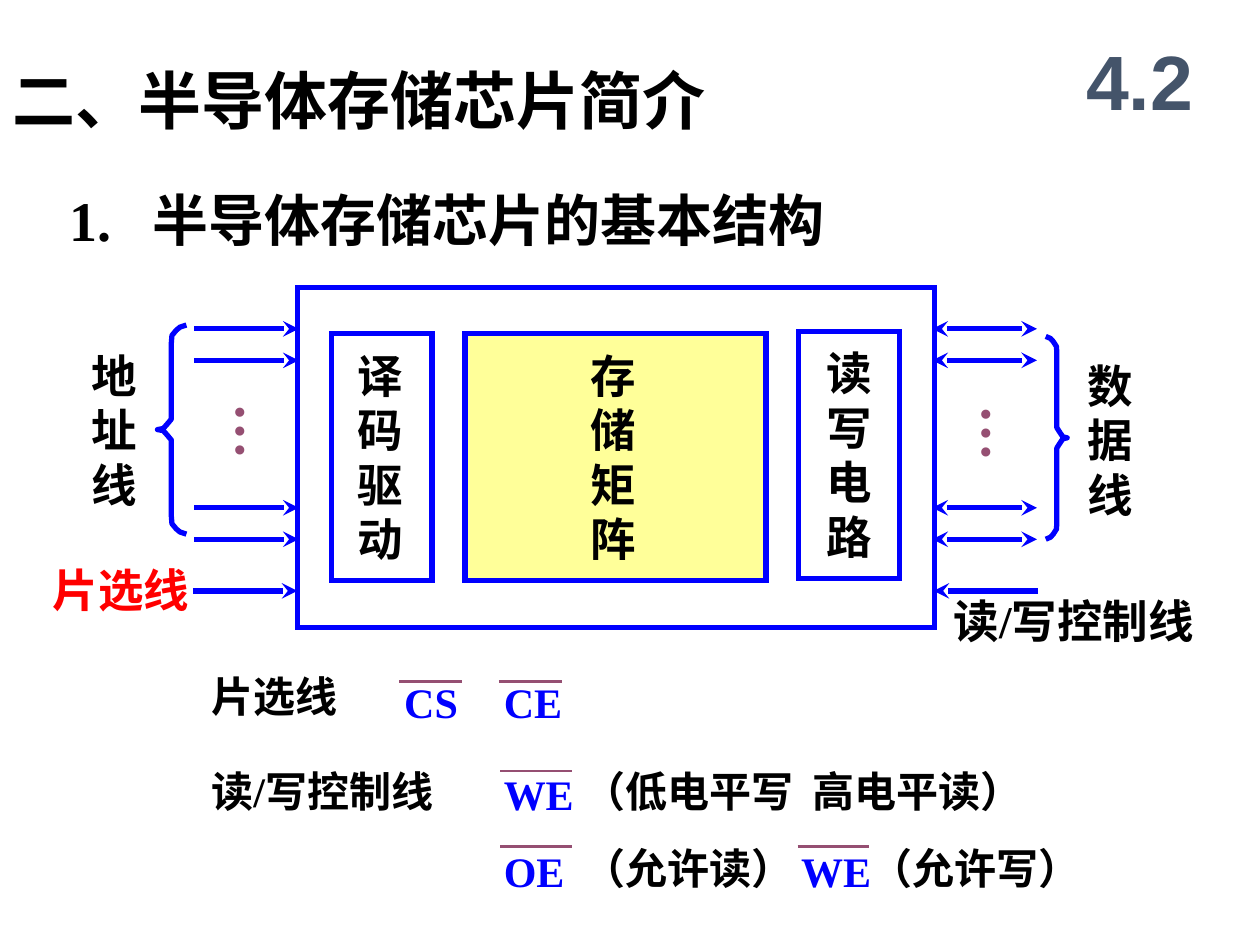
from lxml import etree
from pptx import Presentation
from pptx.dml.color import RGBColor
from pptx.enum.shapes import MSO_CONNECTOR, MSO_SHAPE
from pptx.enum.text import MSO_ANCHOR, MSO_AUTO_SIZE, PP_ALIGN
from pptx.oxml.ns import qn
from pptx.util import Inches, Pt

COLUMNS, ROWS = 100, 75
SLIDE_WIDTH, SLIDE_HEIGHT = Inches(10), Inches(7.5)

BLACK = RGBColor(0x00, 0x00, 0x00)
BLUE = RGBColor(0x00, 0x00, 0xFF)
RED = RGBColor(0xFF, 0x00, 0x00)
YELLOW = RGBColor(0xFF, 0xFF, 0x99)
PLUM = RGBColor(0x95, 0x4F, 0x72)
SLATE = RGBColor(0x44, 0x54, 0x6A)

STRAIGHT = MSO_CONNECTOR.STRAIGHT
RECTANGLE = MSO_SHAPE.RECTANGLE
MIDDLE = MSO_ANCHOR.MIDDLE
GROW, FIXED = MSO_AUTO_SIZE.SHAPE_TO_FIT_TEXT, MSO_AUTO_SIZE.NONE
LEFT, CENTER, RIGHT = PP_ALIGN.LEFT, PP_ALIGN.CENTER, PP_ALIGN.RIGHT

WIRE_ROWS = (26.1, 28.6, 40.3, 42.8)
CONTROL_ROW = 46.9
# Upper half of a brace: shares of its width from the tip, and of its half height.
BRACE_PROFILE = ((1, 0), (0.78, 0.02), (0.65, 0.05), (0.5, 0.1), (0.48, 0.17),
                 (0.48, 0.83), (0.48, 0.9), (0.33, 0.95), (0.2, 0.99), (0, 1))


def x(column):
    return round(SLIDE_WIDTH * column / COLUMNS)


def y(row):
    return round(SLIDE_HEIGHT * row / ROWS)


def add_text(slide, place, lines, size, color=BLACK, align=LEFT, wrap=True,
             font="Times New Roman", tab=None):
    """Put one paragraph per line in a box; tab is a stop in columns."""
    left, top, width, height = place
    box = slide.shapes.add_textbox(x(left), y(top), x(width), y(height))
    frame = box.text_frame
    frame.word_wrap = wrap
    frame.auto_size = GROW
    for index, line in enumerate(lines):
        paragraph = frame.paragraphs[0] if index == 0 else frame.add_paragraph()
        paragraph.alignment = align
        if tab:
            stops = etree.SubElement(paragraph._p.get_or_add_pPr(), qn("a:tabLst"))
            etree.SubElement(stops, qn("a:tab"), pos=str(x(tab)), algn="l")
        run = paragraph.add_run()
        run.text = line
        run.font.name = font
        run.font.size = Pt(size)
        run.font.bold = True
        run.font.color.rgb = color
    return frame


def add_block(slide, left, top, width, height, fill=None):
    """Draw a sharp-cornered rectangle."""
    block = slide.shapes.add_shape(RECTANGLE, x(left), y(top), x(width), y(height))
    block.shadow.inherit = False
    if fill is None:
        block.fill.background()
    else:
        block.fill.solid()
        block.fill.fore_color.rgb = fill
    block.line.color.rgb = BLUE
    block.line.width = Pt(3)
    etree.SubElement(block.line._get_or_add_ln(), qn("a:miter"), lim="800000")


def add_line(slide, start, end, row, color=BLUE, width=3, arrows=()):
    """Draw a level line; arrows names its ends, headEnd before tailEnd."""
    line = slide.shapes.add_connector(STRAIGHT, x(start), y(row), x(end), y(row))
    line.line.color.rgb = color
    line.line.width = Pt(width)
    outline = line.line._get_or_add_ln()
    for arrow in arrows:
        etree.SubElement(outline, qn(f"a:{arrow}"), type="stealth")
    etree.SubElement(line._element.spPr, qn("a:effectLst"))


def add_brace(slide, tip, open_side, top, height):
    half = height / 2
    upper = [(tip + (open_side - tip) * across, top + half * down)
             for across, down in BRACE_PROFILE]
    lower = [(column, 2 * top + height - row) for column, row in upper[-2::-1]]
    points = [(x(column), y(row)) for column, row in upper + lower]
    builder = slide.shapes.build_freeform(*points[0])
    builder.add_line_segments(points[1:], close=False)
    brace = builder.convert_to_shape()
    brace.shadow.inherit = False
    brace.fill.background()
    brace.line.color.rgb = BLUE
    brace.line.width = Pt(3)


def add_dots(slide, left, top):
    frame = add_text(slide, (left, top, 7.3, 5.5), ["…"], 32, PLUM, RIGHT, wrap=False)
    frame.margin_left = frame.margin_right = Inches(0.05)
    frame.margin_top = frame.margin_bottom = Inches(0.1)
    frame._txBody.bodyPr.set("vert", "eaVert")


def add_signal(slide, name, left, top, bar_left, bar_width, bar_row):
    """Write an active-low signal name under its bar."""
    add_text(slide, (left, top, 8, 5), [name], 24, BLUE)
    add_line(slide, bar_left, bar_left + bar_width, bar_row, PLUM, 1.5)


def add_chip(slide):
    add_block(slide, 23.6, 22.8, 50.6, 27)
    add_block(slide, 26.3, 26.5, 8, 19.6)
    add_block(slide, 36.9, 26.5, 23.9, 19.6, YELLOW)
    add_block(slide, 63.4, 26.3, 8, 19.6)
    add_text(slide, (27.4, 27.1, 5.6, 18.4), "译码驱动", 26, align=RIGHT, wrap=False)
    add_text(slide, (45.9, 27.1, 5.9, 18.4), "存储矩阵", 26)
    add_text(slide, (64.6, 26.9, 5.6, 18.4), "读写电路", 26, align=RIGHT, wrap=False)


def add_wires(slide):
    for row in WIRE_ROWS:
        add_line(slide, 15.4, 23.7, row, arrows=["tailEnd"])
        add_line(slide, 82.3, 74, row, arrows=["headEnd", "tailEnd"])
    add_line(slide, 15.3, 23.6, CONTROL_ROW, arrows=["tailEnd"])
    add_line(slide, 82.4, 74.1, CONTROL_ROW, arrows=["tailEnd"])
    add_brace(slide, 12.5, 14.8, 25.8, 16.6)
    add_brace(slide, 84.7, 83, 26.7, 16.1)
    add_dots(slide, 16.4, 31)
    add_dots(slide, 75.6, 31.2)
    add_text(slide, (6.3, 27.1, 5.4, 14), "地址线", 26)
    add_text(slide, (85.3, 27.9, 5.6, 14), "数据线", 26, align=RIGHT, wrap=False)
    add_text(slide, (3.2, 44.1, 14, 5.4), ["片选线"], 26, RED)
    add_text(slide, (74.7, 46.6, 24, 5.4), ["读/写控制线"], 26)


def add_signal_notes(slide):
    add_text(slide, (15.8, 52.7, 30.3, 5), ["片选线"], 24)
    add_text(slide, (15.8, 60.3, 27.6, 5), ["读/写控制线"], 24)
    add_text(slide, (45.3, 60.3, 46.1, 5), ["（低电平写\t高电平读）"], 24, tab=18.2)
    add_text(slide, (45.3, 66.4, 24.4, 5), ["（允许读）"], 24)
    add_text(slide, (68.1, 66.4, 24.4, 5), ["（允许写）"], 24)
    add_signal(slide, "CS", 31.1, 53.2, 31.7, 5, 54.1)
    add_signal(slide, "CE", 39, 53.2, 39.6, 5, 54.1)
    add_signal(slide, "WE", 39, 60.5, 39.7, 5.7, 61.2)
    add_signal(slide, "OE", 39, 66.6, 39.7, 5.7, 67.2)
    add_signal(slide, "WE", 62.6, 66.6, 63.3, 5.7, 67.2)


def main():
    presentation = Presentation()
    presentation.slide_width, presentation.slide_height = SLIDE_WIDTH, SLIDE_HEIGHT
    slide = presentation.slides.add_slide(presentation.slide_layouts[6])
    add_text(slide, (0, 4.4, 57, 7), ["二、半导体存储芯片简介"], 36, align=RIGHT, wrap=False)
    add_text(slide, (4.5, 14.2, 62, 6.4), ["1.\t半导体存储芯片的基本结构"], 32,
             wrap=False, tab=6.6)
    section = add_text(slide, (84.2, 1.7, 12.5, 9.2), ["4.2"], 44, SLATE, CENTER, font="Arial")
    section.auto_size = FIXED
    section.vertical_anchor = MIDDLE
    add_chip(slide)
    add_wires(slide)
    add_signal_notes(slide)
    presentation.save("out.pptx")


if __name__ == "__main__":
    main()
